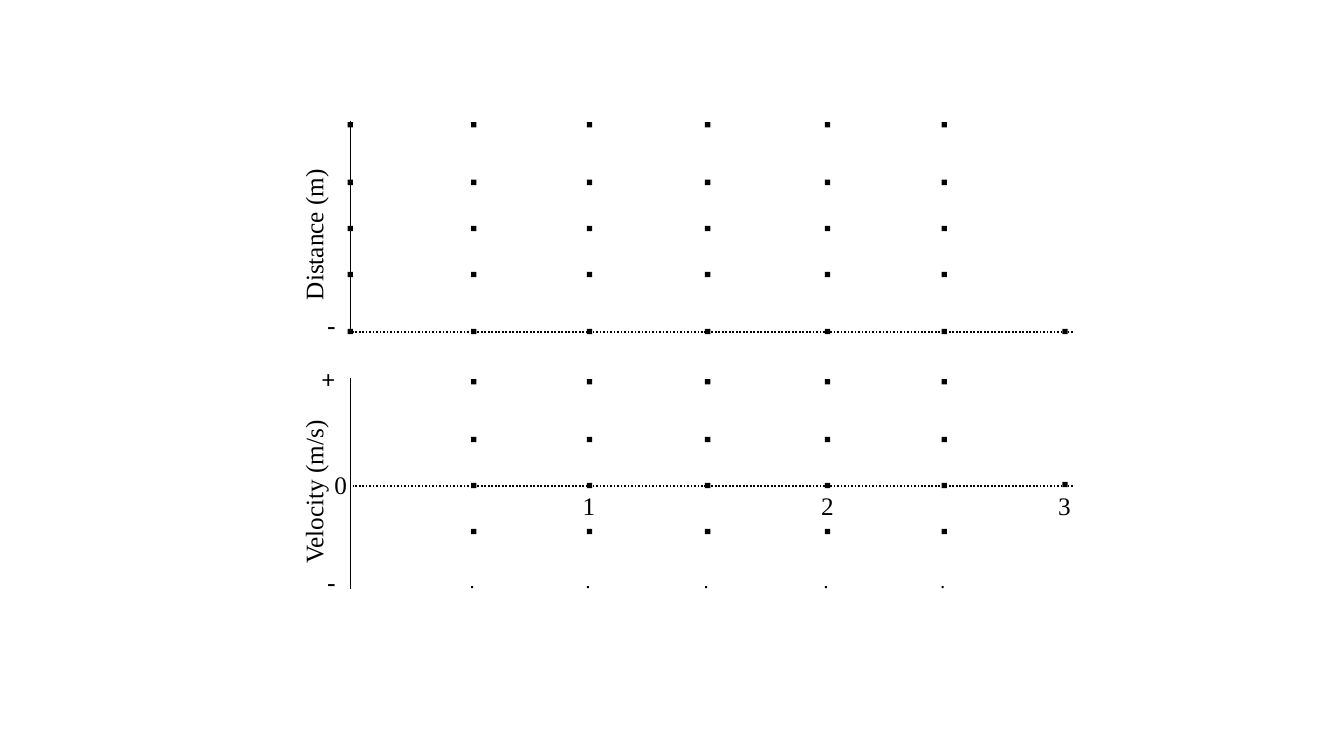
from lxml.etree import SubElement
from pptx import Presentation
from pptx.dml.color import RGBColor
from pptx.enum.dml import MSO_LINE
from pptx.enum.shapes import MSO_CONNECTOR, MSO_SHAPE
from pptx.enum.text import MSO_AUTO_SIZE
from pptx.oxml.ns import qn
from pptx.util import Pt

BLACK = "000000"
SERIF = "Times New Roman"
SANS = "Calibri"
DOT = 3.8
TINY_DOT = 1.44
PANEL_LEFT, PANEL_WIDTH, PANEL_HEIGHT = 250.4, 516, 150.5
AXIS_COLUMN = -2
GRID_COLUMNS = [86.1, 168.8, 253.2, 338.8, 422.2]
LAST_COLUMN = 508.5
GRID_ROWS = [0.8, 42, 75, 107.8]
BASE_ROW = 148.6


def color(hex_string):
    """Return the colour for a hex string."""
    return RGBColor.from_string(hex_string)


def add_line(slide, start, end, dash=None):
    """Draw a thin black line between two points."""
    line = slide.shapes.add_connector(
        MSO_CONNECTOR.STRAIGHT, *(Pt(value) for value in (*start, *end)))
    line.line.color.rgb = color(BLACK)
    line.line.width = Pt(1.25)
    if dash is not None:
        line.line.dash_style = dash
    SubElement(line._element.spPr, qn("a:effectLst"))


def add_dots(slide, left, top, columns, rows, size=DOT):
    """Place a square dot at every crossing of the columns and rows."""
    for column in columns:
        for row in rows:
            dot = slide.shapes.add_shape(
                MSO_SHAPE.RECTANGLE, Pt(left + column), Pt(top + row), Pt(size), Pt(size))
            dot.shadow.inherit = False
            dot.fill.solid()
            dot.fill.fore_color.rgb = color(BLACK)
            dot.line.fill.background()


def add_label(slide, text, left, top, width=24, height=29, size=18, font=SERIF, rotation=0):
    """Write one unwrapped label in the given box."""
    label = slide.shapes.add_textbox(Pt(left), Pt(top), Pt(width), Pt(height))
    label.rotation = rotation
    frame = label.text_frame
    frame.word_wrap = False
    frame.auto_size = MSO_AUTO_SIZE.SHAPE_TO_FIT_TEXT
    paragraph = frame.paragraphs[0]
    paragraph.text = text
    paragraph.font.size = Pt(size)
    paragraph.font.name = font
    paragraph.font.color.rgb = color(BLACK)


def add_axes(slide, left, top, width, height, zero, title, title_width):
    """Draw the axes, the turned title and the minus sign of a panel."""
    add_line(slide, (left, top), (left, top + height))
    add_line(slide, (left + width, top + zero), (left + 1.5, top + zero), MSO_LINE.ROUND_DOT)
    add_label(slide, title, left - 26.4 - title_width / 2, top + 66.2, title_width, rotation=270)
    add_label(slide, "-", left - 23.8, top + 130.3, 20.9, 31.7, 20, SANS)


def add_distance_panel(slide, left, top, width, height):
    """Build the distance grid, with its time axis at the bottom."""
    add_axes(slide, left, top, width, height, height, "Distance (m)", 108.7)
    add_dots(slide, left, top, [AXIS_COLUMN, *GRID_COLUMNS], [*GRID_ROWS, BASE_ROW])
    add_dots(slide, left, top, [LAST_COLUMN], [BASE_ROW])


def add_velocity_panel(slide, left, top, width, height):
    """Build the velocity grid, with its time axis through the middle."""
    add_axes(slide, left, top, width, height, 77, "Velocity (m/s)", 118.1)
    add_dots(slide, left, top, GRID_COLUMNS, GRID_ROWS)
    add_dots(slide, left, top, GRID_COLUMNS, [BASE_ROW], TINY_DOT)
    add_dots(slide, left, top, [LAST_COLUMN], [74.2])
    add_label(slide, "+", left - 27.4, top - 13.7, font=SANS)
    add_label(slide, "0", left - 18.7, top + 61.9)
    for text, offset in (("1", 158.6), ("2", 329), ("3", 498.4)):
        add_label(slide, text, left + offset, top + 77)


def main():
    """Build and save the slide."""
    presentation = Presentation()
    presentation.slide_width = Pt(960)
    presentation.slide_height = Pt(540)
    slide = presentation.slides.add_slide(presentation.slide_layouts[6])
    add_distance_panel(slide, PANEL_LEFT, 86.4, PANEL_WIDTH, PANEL_HEIGHT)
    add_velocity_panel(slide, PANEL_LEFT, 270, PANEL_WIDTH, PANEL_HEIGHT)
    presentation.save("out.pptx")


if __name__ == "__main__":
    main()
